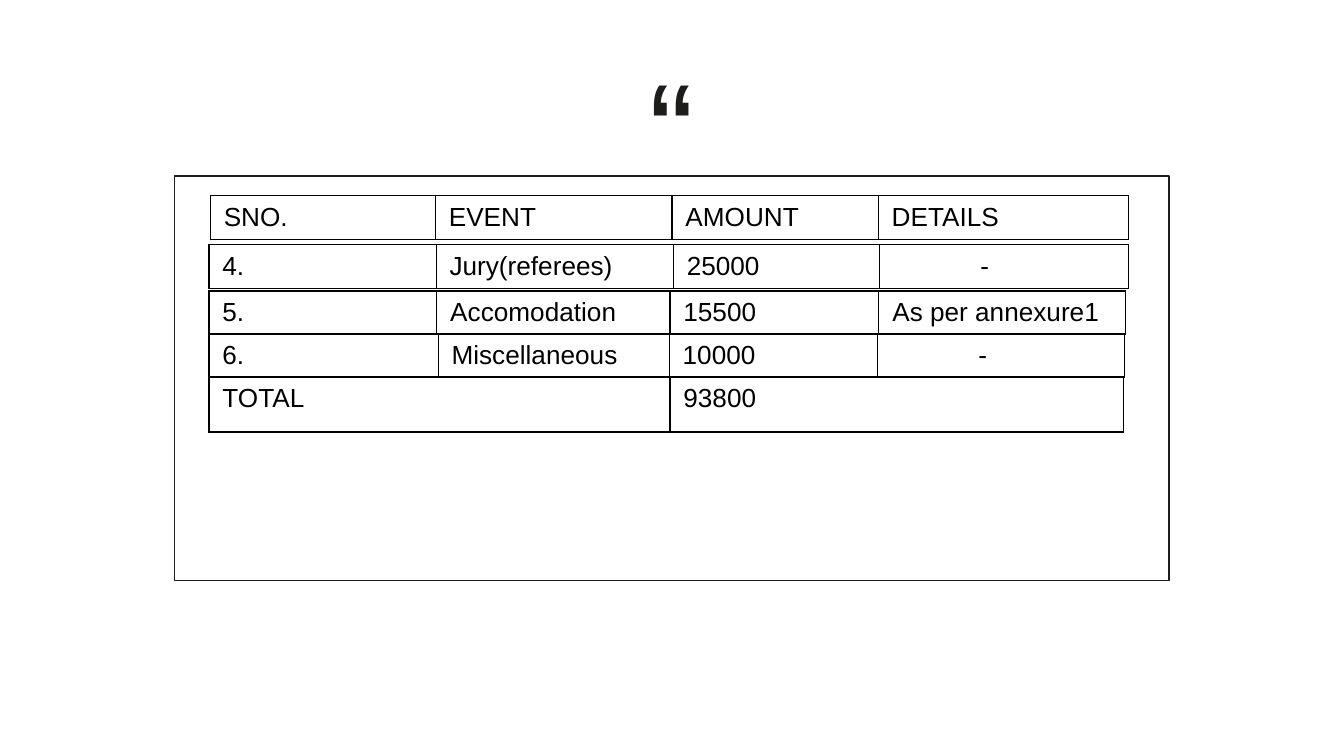
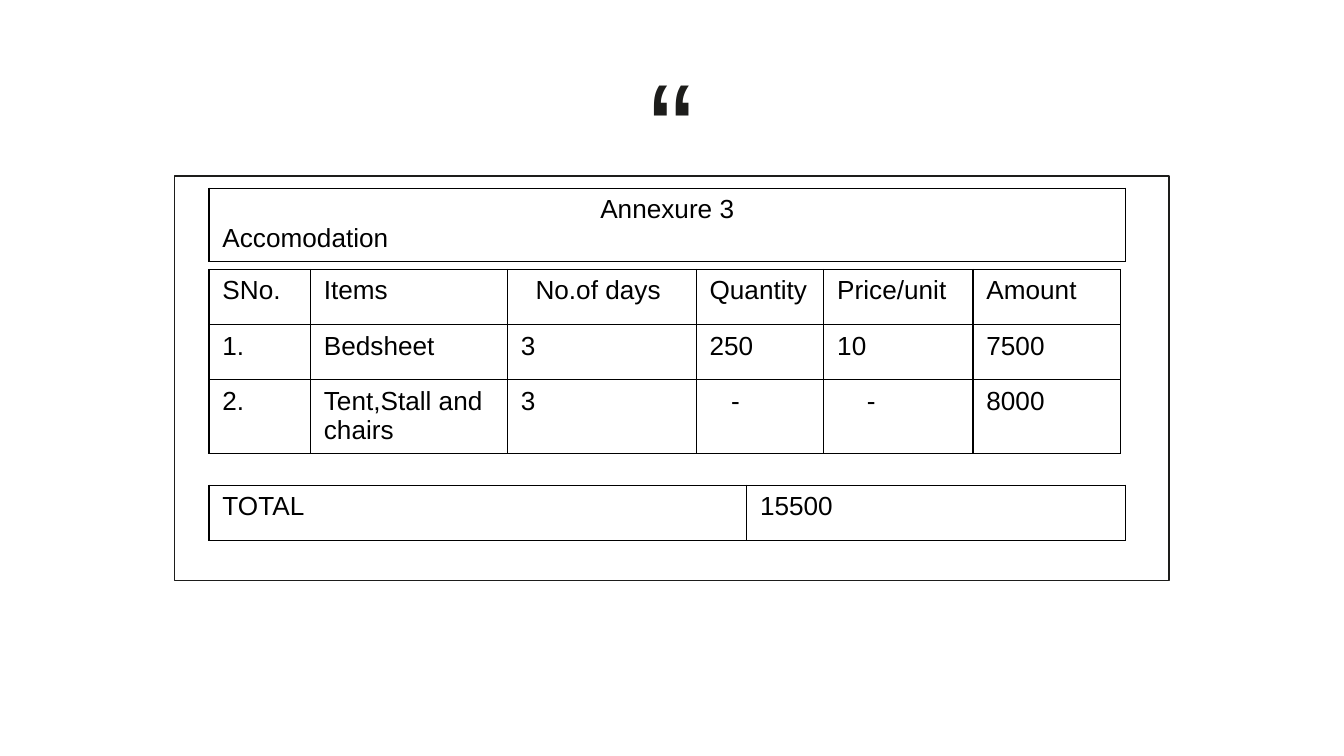
from dataclasses import dataclass

from lxml.etree import SubElement
from pptx import Presentation
from pptx.dml.color import RGBColor
from pptx.enum.shapes import MSO_SHAPE
from pptx.enum.text import MSO_ANCHOR, PP_ALIGN
from pptx.oxml.ns import qn
from pptx.presentation import Presentation as Deck
from pptx.slide import Slide
from pptx.table import _Cell
from pptx.util import Emu, Pt

COLORS = {"ink": "1D1D1B", "table": "000000"}
FONT = "Arial"
TABLE_LEFT = 311
CELL_MARGIN = 20
LINE_ROW, TALL_ROW, TWO_LINE_ROW = 65, 82, 109
LINE_WIDTH = Pt(0.75)


def px(length: int) -> Emu:
    """Convert px to EMU at 200 px to the inch."""
    return Emu(length * 4572)


def color(name: str) -> RGBColor:
    return RGBColor.from_string(COLORS[name])


@dataclass(frozen=True)
class Entry:
    """Cell text pushed right by an indent, or with a centred first line."""
    text: str
    indent: int = 0
    centered_heading: bool = False


@dataclass(frozen=True)
class Grid:
    top: int
    columns: list[int]
    row_heights: list[int]
    rows: list[list[str | Entry]]
    left: int = TABLE_LEFT


BUDGET = [
    Grid(364, [338, 353, 307, 370], [LINE_ROW],
         [["4.", "Jury(referees)", "25000", Entry("-", 130)]]),
    Grid(291, [335, 352, 307, 373], [LINE_ROW],
         [["SNO.", "EVENT", "AMOUNT", "DETAILS"]], left=313),
    Grid(433, [339, 347, 311, 367], [LINE_ROW],
         [["5.", "Accomodation", "15500", "As per annexure1"]]),
    Grid(497, [341, 344, 310, 368], [LINE_ROW],
         [["6.", "Miscellaneous", "10000", Entry("-", 130)]]),
    Grid(561, [686, 675], [TALL_ROW], [["TOTAL", "93800"]]),
]

ANNEXURE = [
    Grid(280, [1364], [TWO_LINE_ROW],
         [[Entry("Annexure 3\nAccomodation", centered_heading=True)]]),
    Grid(722, [800, 564], [TALL_ROW], [["TOTAL", "15500"]]),
    Grid(401, [151, 293, 281, 190, 222, 220], [TALL_ROW, TALL_ROW, TWO_LINE_ROW], [
        ["SNo.", "Items", Entry("No.of days", 22), "Quantity", "Price/unit", "Amount"],
        ["1.", "Bedsheet", "3", "250", "10", "7500"],
        ["2.", "Tent,Stall and chairs", "3", Entry("-", 32), Entry("-", 44), "8000"],
    ]),
]


def add_frame(slide: Slide) -> None:
    frame = slide.shapes.add_shape(MSO_SHAPE.RECTANGLE, px(260), px(262), px(1480), px(602))
    frame.shadow.inherit = False
    frame.fill.background()
    frame.line.color.rgb = color("ink")
    frame.line.width = LINE_WIDTH


def add_quote_mark(slide: Slide) -> None:
    quote = slide.shapes.add_textbox(px(786), px(46), px(428), px(214)).text_frame
    quote.word_wrap = True
    quote.vertical_anchor = MSO_ANCHOR.TOP
    quote.margin_left = quote.margin_right = px(20)
    quote.margin_top = quote.margin_bottom = px(20)
    quote.text = "“"
    mark = quote.paragraphs[0]
    mark.alignment = PP_ALIGN.CENTER
    for run in mark.runs:
        run.font.name = FONT
        run.font.size = Pt(72)
        run.font.color.rgb = color("ink")


def outline_cell(cell: _Cell) -> None:
    properties = cell._tc.get_or_add_tcPr()
    for side in ("a:lnL", "a:lnR", "a:lnT", "a:lnB"):
        border = SubElement(properties, qn(side), w=str(LINE_WIDTH))
        fill = SubElement(border, qn("a:solidFill"))
        SubElement(fill, qn("a:srgbClr"), val=COLORS["table"])


def fill_cell(cell: _Cell, entry: Entry) -> None:
    outline_cell(cell)
    cell.fill.background()
    cell.margin_left = px(CELL_MARGIN + entry.indent)
    cell.margin_right = px(CELL_MARGIN)
    cell.margin_top = px(10)
    cell.margin_bottom = px(6)
    cell.text_frame.text = entry.text
    for paragraph in cell.text_frame.paragraphs:
        for run in paragraph.runs:
            run.font.name = FONT
            run.font.size = Pt(14)
            run.font.color.rgb = color("table")
    if entry.centered_heading:
        cell.text_frame.paragraphs[0].alignment = PP_ALIGN.CENTER


def add_grid(slide: Slide, grid: Grid) -> None:
    table = slide.shapes.add_table(
        len(grid.rows), len(grid.columns), px(grid.left), px(grid.top),
        px(sum(grid.columns)), px(sum(grid.row_heights))).table
    table.first_row = False
    table.horz_banding = False
    for column, width in zip(table.columns, grid.columns):
        column.width = px(width)
    for row, height, entries in zip(table.rows, grid.row_heights, grid.rows):
        row.height = px(height)
        for cell, entry in zip(row.cells, entries):
            fill_cell(cell, entry if isinstance(entry, Entry) else Entry(entry))


def add_table_slide(deck: Deck, grids: list[Grid]) -> None:
    slide = deck.slides.add_slide(deck.slide_layouts[6])
    add_frame(slide)
    add_quote_mark(slide)
    for grid in grids:
        add_grid(slide, grid)


def main() -> None:
    deck = Presentation()
    deck.slide_width = px(2000)
    deck.slide_height = px(1125)
    for grids in (BUDGET, ANNEXURE):
        add_table_slide(deck, grids)
    deck.save("out.pptx")


if __name__ == "__main__":
    main()
